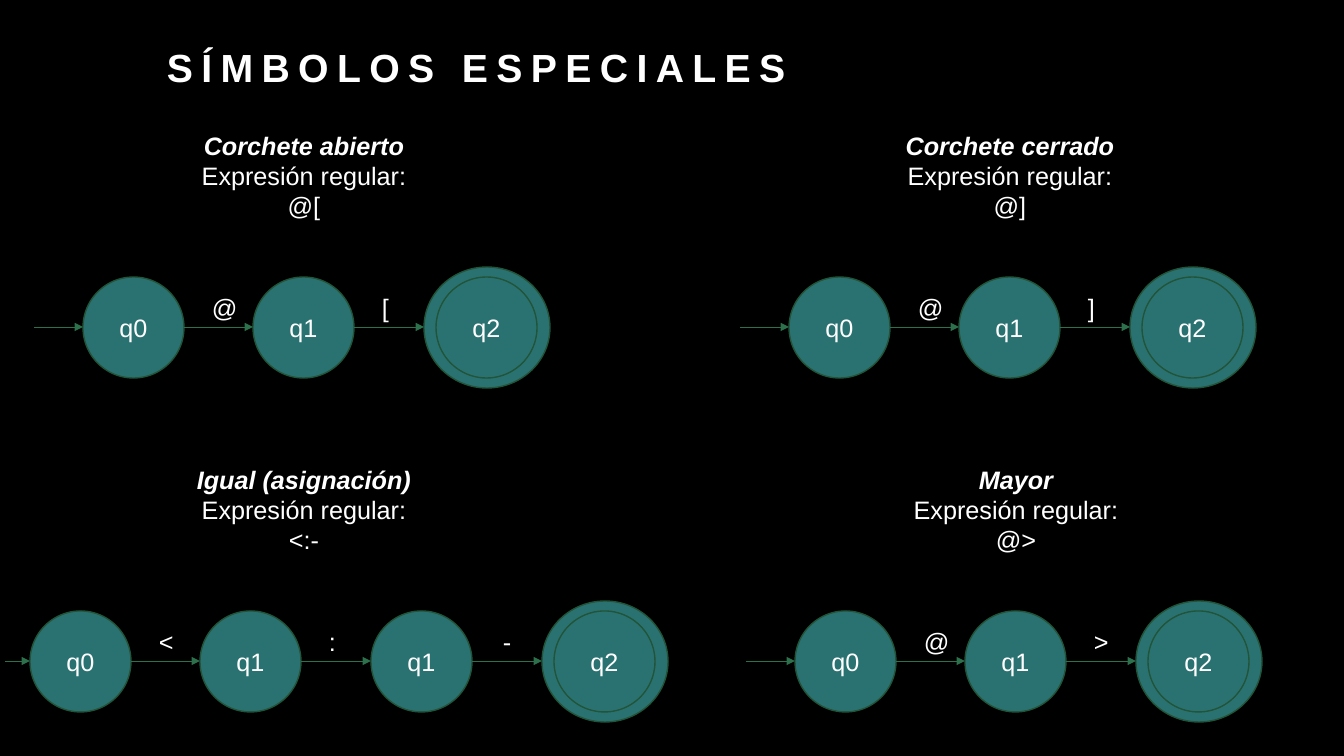
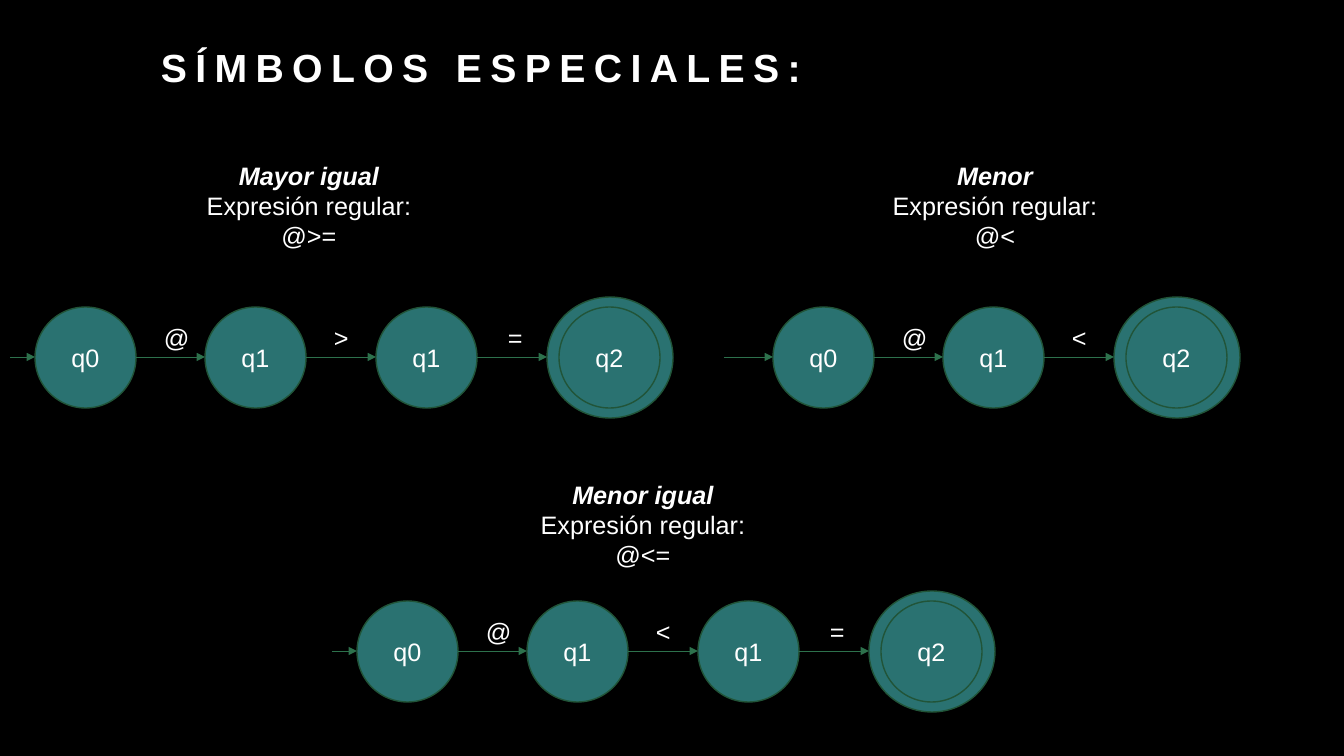
from dataclasses import dataclass

from lxml.etree import SubElement
from pptx import Presentation
from pptx.dml.color import RGBColor
from pptx.enum.shapes import MSO_CONNECTOR, MSO_SHAPE
from pptx.enum.text import MSO_ANCHOR, PP_ALIGN
from pptx.oxml.ns import qn
from pptx.slide import Slide
from pptx.util import Emu, Pt

BLACK = RGBColor(0x00, 0x00, 0x00)
WHITE = RGBColor(0xFF, 0xFF, 0xFF)
TEAL = RGBColor(0x2A, 0x72, 0x71)
OUTLINE = RGBColor(0x21, 0x54, 0x38)
ARROW = RGBColor(0x2D, 0x71, 0x4C)

BODY = {"name": "Arial", "size": Pt(18), "bold": False, "italic": False}
HEADING = BODY | {"bold": True, "italic": True}
TITLE = BODY | {"size": Pt(28), "bold": True}
TITLE_SPACING = "600"

EMU_PER_PX = 914400 / 100.8
SLIDE_W, SLIDE_H = 1344, 756
TITLE_W, TITLE_H = 1018, 95
HEADING_W, HEADING_H = 244, 71
STATE = 101
RING_W, RING_H = 126, 121
RING_DX, RING_DY = 12, 10
THREE_PITCHES = 512
LABEL_DX = (119, 119, 122)
LABEL_DY, LABEL_H = 10, 40
LABEL_W = {"@": 43, "<": 33, ">": 33, "=": 33, "[": 28, "]": 28, "-": 28, ":": 27}


@dataclass(frozen=True)
class Automaton:
    """x and y place the first state; heading_x is the heading's centre."""
    name: str
    symbols: str
    x: int
    y: int
    heading_x: int
    heading_gap: int = 152


@dataclass(frozen=True)
class Page:
    title: str
    title_x: int
    automata: tuple[Automaton, ...]


PAGES = (
    Page("SÍMBOLOS ESPECIALES", 157, (
        Automaton("Corchete abierto", "@[", 83, 277, 304),
        Automaton("Corchete cerrado", "@]", 789, 277, 1010),
        Automaton("Igual (asignación)", "<:-", 30, 611, 304),
        Automaton("Mayor", "@>", 795, 611, 1016),
    )),
    Page("SÍMBOLOS ESPECIALES:", 151, (
        Automaton("Mayor igual", "@>=", 35, 307, 309),
        Automaton("Menor", "@<", 773, 307, 995),
        Automaton("Menor igual", "@<=", 357, 601, 643, 127),
    )),
)


def px(*lengths: int) -> list[Emu]:
    return [Emu(round(n * EMU_PER_PX)) for n in lengths]


def write(p, text: str, fmt: dict):
    r = p.add_run()
    r.text = text
    for name, value in fmt.items():
        setattr(r.font, name, value)
    r.font.color.rgb = WHITE
    return r


def add_text(s: Slide, box: tuple[int, int, int, int]):
    tf = s.shapes.add_textbox(*px(*box)).text_frame
    tf.word_wrap = True
    return tf


def add_title(s: Slide, page: Page) -> None:
    tf = add_text(s, (page.title_x, 0, TITLE_W, TITLE_H))
    tf.vertical_anchor = MSO_ANCHOR.BOTTOM
    p = tf.paragraphs[0]
    p.line_spacing = 1.2
    r = write(p, page.title, TITLE)
    r._r.get_or_add_rPr().set("spc", TITLE_SPACING)


def add_heading(s: Slide, a: Automaton) -> None:
    tf = add_text(s, (a.heading_x - HEADING_W // 2, a.y - a.heading_gap,
                      HEADING_W, HEADING_H))
    lines = ((a.name, HEADING), (f"Expresión regular: {a.symbols}", BODY))
    for p, (text, fmt) in zip((tf.paragraphs[0], tf.add_paragraph()), lines):
        p.alignment = PP_ALIGN.CENTER
        write(p, text, fmt)


def add_ellipse(s: Slide, x: int, y: int, w: int, h: int, text: str = "") -> None:
    sp = s.shapes.add_shape(MSO_SHAPE.OVAL, *px(x, y, w, h))
    sp.shadow.inherit = False
    sp.fill.solid()
    sp.fill.fore_color.rgb = TEAL
    sp.line.color.rgb = OUTLINE
    sp.line.width = Pt(1)
    if text:
        tf = sp.text_frame
        tf.vertical_anchor = MSO_ANCHOR.MIDDLE
        p = tf.paragraphs[0]
        p.alignment = PP_ALIGN.CENTER
        write(p, text, BODY)


def add_arrow(s: Slide, x1: int, x2: int, y: int) -> None:
    c = s.shapes.add_connector(MSO_CONNECTOR.STRAIGHT, *px(x1, y, x2, y))
    c.line.color.rgb = ARROW
    c.line.width = Pt(0.5)
    properties = c._element.spPr
    SubElement(properties.find(qn("a:ln")), qn("a:tailEnd"), type="triangle")
    SubElement(properties, qn("a:effectLst"))


def add_automaton(s: Slide, a: Automaton) -> None:
    add_heading(s, a)
    count = len(a.symbols)
    xs = [a.x + THREE_PITCHES * i // 3 for i in range(count + 1)]
    mid = a.y + STATE // 2
    lead = 49 if count == 2 else 25
    add_arrow(s, a.x - lead, a.x, mid)
    for i, symbol in enumerate(a.symbols):
        add_ellipse(s, xs[i], a.y, STATE, STATE, f"q{min(i, 1)}")
        add_arrow(s, xs[i] + STATE, xs[i + 1], mid)
        tf = add_text(s, (xs[i] + LABEL_DX[i], a.y + LABEL_DY,
                          LABEL_W[symbol], LABEL_H))
        write(tf.paragraphs[0], symbol, BODY)
    add_ellipse(s, xs[-1], a.y - RING_DY, RING_W, RING_H)
    add_ellipse(s, xs[-1] + RING_DX, a.y, STATE, STATE, "q2")


def main() -> None:
    prs = Presentation()
    prs.slide_width, prs.slide_height = px(SLIDE_W, SLIDE_H)
    background = prs.slide_master.background.fill
    background.solid()
    background.fore_color.rgb = BLACK
    for page in PAGES:
        s = prs.slides.add_slide(prs.slide_layouts[6])
        add_title(s, page)
        for a in page.automata:
            add_automaton(s, a)
    prs.save("out.pptx")


if __name__ == "__main__":
    main()
